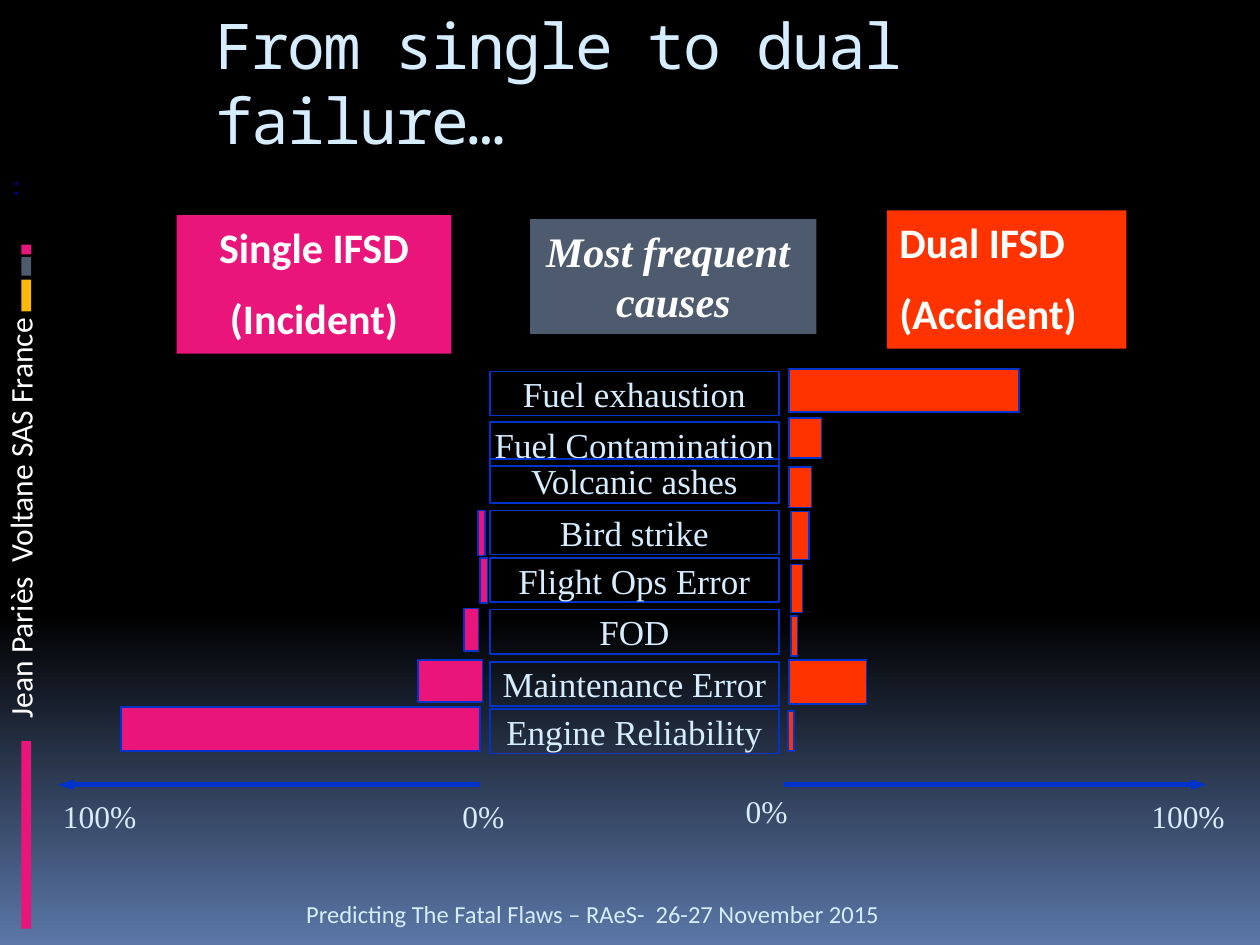
import pptx
import pptx.util
import pptx.dml.color
import pptx.enum.shapes
import pptx.enum.text
import lxml.etree
from pptx.util import Cm, Pt

PINK, ORANGE, SLATE, YELLOW = "EA157A", "FF3300", "4E5B6F", "FEB80A"
BLUE, PALE, WHITE = "0033CC", "D6ECFF", "FFFFFF"
SERIF, SANS = "Times New Roman", "Calibri"
ALIGN = pptx.enum.text.PP_ALIGN
ANCHOR = pptx.enum.text.MSO_ANCHOR

LABEL_LEFT, LABEL_WIDTH, LABEL_HEIGHT = 9.88, 5.82, 0.89
# Cause, label top, single-failure bar, dual-failure bar (left, top, width, height)
CAUSES = [
    ("Fuel exhaustion", 7.49, None, (15.9, 7.44, 4.65, 0.86)),
    ("Fuel Contamination", 8.51, None, (15.9, 8.43, 0.66, 0.81)),
    ("Volcanic ashes", 9.25, None, (15.9, 9.42, 0.46, 0.81)),
    ("Bird strike", 10.29, (9.63, 10.29, 0.15, 0.91), (15.95, 10.31, 0.36, 0.97)),
    ("Flight Ops Error", 11.25, (9.68, 11.25, 0.15, 0.91), (15.95, 11.38, 0.23, 0.97)),
    ("FOD", 12.29, (9.35, 12.27, 0.3, 0.86), (15.95, 12.42, 0.13, 0.81)),
    ("Maintenance Error", 13.34, (8.43, 13.31, 1.3, 0.84), (15.9, 13.31, 1.57, 0.89)),
    ("Engine Reliability", 14.3, (2.44, 14.25, 7.24, 0.89), (15.88, 14.33, 0.13, 0.81)),
]


def color(value):
    return pptx.dml.color.RGBColor.from_string(value)


def write(shape, lines, font, size, text_color, align=ALIGN.LEFT, anchor=ANCHOR.TOP,
          wrap=True, bold=False, italic=False, gap=0):
    """Put one paragraph per line into a shape."""
    frame = shape.text_frame
    frame.word_wrap = wrap
    frame.vertical_anchor = anchor
    frame.text = "\n".join(lines)
    for index, paragraph in enumerate(frame.paragraphs):
        paragraph.alignment = align
        if index and gap:
            paragraph.space_before = Pt(gap)
        paragraph.font.name = font
        paragraph.font.size = Pt(size)
        paragraph.font.bold = bold
        paragraph.font.italic = italic
        paragraph.font.color.rgb = color(text_color)


def add_box(slide, place, fill=None, line=None):
    shape = slide.shapes.add_shape(
        pptx.enum.shapes.MSO_SHAPE.RECTANGLE, *(Cm(length) for length in place))
    shape.shadow.inherit = False
    if fill:
        shape.fill.solid()
        shape.fill.fore_color.rgb = color(fill)
    else:
        shape.fill.background()
    if line:
        shape.line.color.rgb = color(line)
        shape.line.width = Pt(1)
    else:
        shape.line.fill.background()
    return shape


def add_text(slide, place, text, font, size, text_color, **options):
    shape = slide.shapes.add_textbox(*(Cm(length) for length in place))
    write(shape, [text], font, size, text_color, **options)
    return shape


def add_axis(slide, start, end, top):
    """Draw a horizontal scale line with an arrowhead at its end."""
    axis = slide.shapes.add_connector(
        pptx.enum.shapes.MSO_CONNECTOR.STRAIGHT, Cm(start), Cm(top), Cm(end), Cm(top))
    axis.line.color.rgb = color(BLUE)
    axis.line.width = Pt(3)
    namespace = pptx.oxml.ns.qn
    lxml.etree.SubElement(axis.line._get_or_add_ln(), namespace("a:tailEnd"),
                          type="triangle", w="sm")
    lxml.etree.SubElement(axis._element.spPr, namespace("a:effectLst"))


def set_background(slide):
    fill = slide.background.fill
    fill.gradient()
    fill.gradient_angle = 270
    for stop, position, value in zip(fill.gradient_stops, (0.65, 1), ("000000", "5B77A8")):
        stop.position = position
        stop.color.rgb = color(value)


def add_side_strip(slide):
    for top, height, fill in ((14.94, 3.78, PINK), (5.64, 0.64, YELLOW),
                              (5.18, 0.38, SLATE), (4.93, 0.2, PINK)):
        add_box(slide, (0.43, top, 0.2, height), fill)
    author = add_text(slide, (-0.1, 4.52, 1.27, 10.21), "Jean Pariès  Voltane SAS France",
                      SANS, 18, WHITE)
    author.text_frame._txBody.bodyPr.set("vert", "vert270")


def format_title(slide):
    title = slide.shapes.title
    title.left, title.top, title.width, title.height = Cm(4.09), Cm(0), Cm(20.22), Cm(2.54)
    write(title, ["From single to dual failure…"], "Noto Sans Mono", 36, PALE)
    title.text_frame.auto_size = pptx.enum.text.MSO_AUTO_SIZE.NONE
    title.text_frame.paragraphs[0].runs[0].font._element.set("spc", "-100")


def add_headings(slide):
    single = add_box(slide, (3.56, 4.34, 5.54, 2.79), PINK)
    write(single, ["Single IFSD", "(Incident)"], SANS, 24, WHITE,
          align=ALIGN.CENTER, bold=True, gap=12)
    dual = add_box(slide, (17.88, 4.24, 4.83, 2.79), ORANGE)
    write(dual, ["Dual IFSD", "(Accident)"], SANS, 24, WHITE, bold=True, gap=12)
    causes = add_box(slide, (10.69, 4.42, 5.77, 2.31), SLATE)
    write(causes, ["Most frequent ", "causes"], SERIF, 24, WHITE,
          align=ALIGN.CENTER, wrap=False, bold=True, italic=True)


def add_causes(slide):
    for cause, top, single, dual in CAUSES:
        label = add_box(slide, (LABEL_LEFT, top, LABEL_WIDTH, LABEL_HEIGHT), line=BLUE)
        write(label, [cause], SERIF, 20, PALE, align=ALIGN.CENTER,
              anchor=ANCHOR.MIDDLE, wrap=False)
        for bar, fill in ((single, PINK), (dual, ORANGE)):
            if bar:
                add_box(slide, bar, fill, BLUE)


def add_scales(slide):
    add_axis(slide, 9.68, 1.17, 15.82)
    add_axis(slide, 15.8, 24.33, 15.82)
    for left, top, width, text in ((1.02, 15.95, 2.1, "100%"), (9.07, 15.95, 1.4, "0%"),
                                   (14.78, 15.85, 1.4, "0%"), (22.96, 15.95, 2.1, "100%")):
        add_text(slide, (left, top, width, 1.02), text, SERIF, 18, PALE, wrap=False)


def main():
    presentation = pptx.Presentation()
    presentation.slide_width, presentation.slide_height = Cm(25.4), Cm(19.05)
    slide = presentation.slides.add_slide(presentation.slide_layouts[5])
    set_background(slide)
    add_side_strip(slide)
    format_title(slide)
    add_text(slide, (0, 3.33, 6.35, 0.84), ":", "DejaVu Sans", 14, "000099")
    add_headings(slide)
    add_causes(slide)
    add_scales(slide)
    # Footer
    add_text(slide, (2.54, 17.83, 15.44, 1.02),
             "Predicting The Fatal Flaws – RAeS-  26-27 November 2015",
             SANS, 14, PALE, align=ALIGN.RIGHT, anchor=ANCHOR.BOTTOM)
    presentation.save("out.pptx")


if __name__ == "__main__":
    main()
